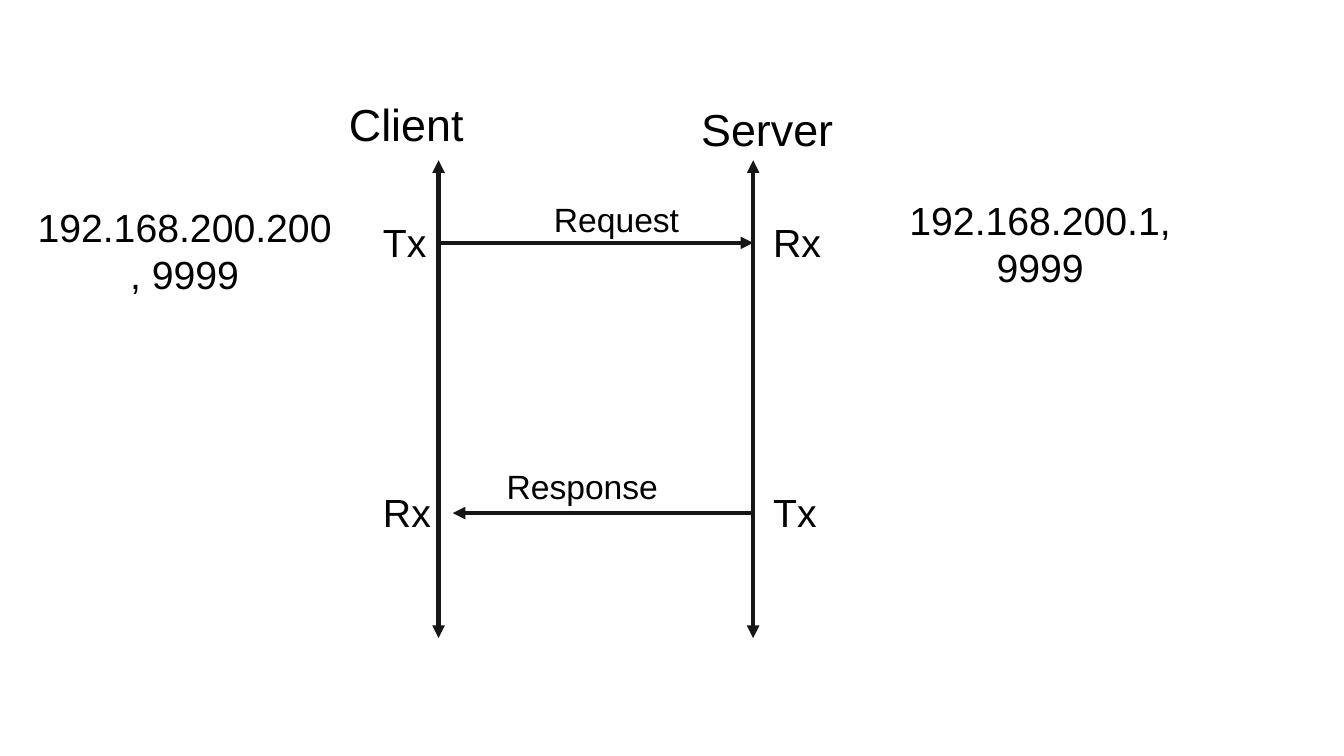
"""Builds a client and server request/response sequence slide."""
from lxml import etree
from pptx import Presentation
from pptx.dml.color import RGBColor
from pptx.enum.shapes import MSO_CONNECTOR
from pptx.enum.text import MSO_AUTO_SIZE, PP_ALIGN
from pptx.oxml.ns import qn
from pptx.util import Inches, Pt

STRAIGHT = MSO_CONNECTOR.STRAIGHT
LEFT, CENTER = PP_ALIGN.LEFT, PP_ALIGN.CENTER
GROW = MSO_AUTO_SIZE.SHAPE_TO_FIT_TEXT
FONT, INK, LINE = "Arial", "000000", "161616"

CLIENT_X, SERVER_X = 4.35, 7.47
LIFELINE_TOP, LIFELINE_BOTTOM = 1.59, 6.33
REQUEST_Y, RESPONSE_Y = 2.41, 5.09
RESPONSE_END_X = 4.49

HOSTS = [("Client", 3.23, 0.91), ("Server", 6.81, 0.96)]
PORTS = [("Tx", "Rx", REQUEST_Y), ("Rx", "Tx", RESPONSE_Y)]
PORT_LEFTS = (3.7, 7.57)
PORT_RISE = 0.29
MESSAGES = [
    ("Request", 5.2, 1.92, CLIENT_X, SERVER_X, REQUEST_Y),
    ("Response", 4.86, 4.57, SERVER_X, RESPONSE_END_X, RESPONSE_Y),
]
ADDRESSES = [
    ("192.168.200.1, 9999", 8.79, 1.9, 3.05),
    ("192.168.200.200, 9999", 0.26, 1.97, 3.14),
]


def color(hex_code):
    return RGBColor.from_string(hex_code)


def add_text(slide, text, left, top, width, height, size=28, align=CENTER):
    box = slide.shapes.add_textbox(Inches(left), Inches(top), Inches(width), Inches(height))
    frame = box.text_frame
    frame.word_wrap = True
    frame.auto_size = GROW
    paragraph = frame.paragraphs[0]
    paragraph.alignment = align
    run = paragraph.add_run()
    run.text = text
    run.font.name = FONT
    run.font.size = Pt(size)
    run.font.color.rgb = color(INK)


def add_arrow(slide, x1, y1, x2, y2, ends=("tailEnd",)):
    arrow = slide.shapes.add_connector(STRAIGHT, Inches(x1), Inches(y1), Inches(x2), Inches(y2))
    arrow.line.color.rgb = color(LINE)
    arrow.line.width = Pt(3)
    properties = arrow.line._get_or_add_ln()
    for end in ends:
        etree.SubElement(properties, qn(f"a:{end}"), type="triangle")
    etree.SubElement(arrow._element.spPr, qn("a:effectLst"))


def main():
    deck = Presentation()
    deck.slide_width, deck.slide_height = Inches(13.33), Inches(7.5)
    slide = deck.slides.add_slide(deck.slide_layouts[6])

    for x in (SERVER_X, CLIENT_X):
        add_arrow(slide, x, LIFELINE_TOP, x, LIFELINE_BOTTOM, ends=("headEnd", "tailEnd"))
    for host, left, top in HOSTS:
        add_text(slide, host, left, top, 1.6, 0.64, size=32)
    for *ports, y in PORTS:
        for port, left in zip(ports, PORT_LEFTS):
            add_text(slide, port, left, y - PORT_RISE, 1.12, 0.57, align=LEFT)
    for message, left, top, start, end, y in MESSAGES:
        add_arrow(slide, start, y, end, y)
        add_text(slide, message, left, top, 1.83, 0.5, size=24)
    for address, left, top, width in ADDRESSES:
        add_text(slide, address, left, top, width, 1.04)

    deck.save("out.pptx")


if __name__ == "__main__":
    main()
